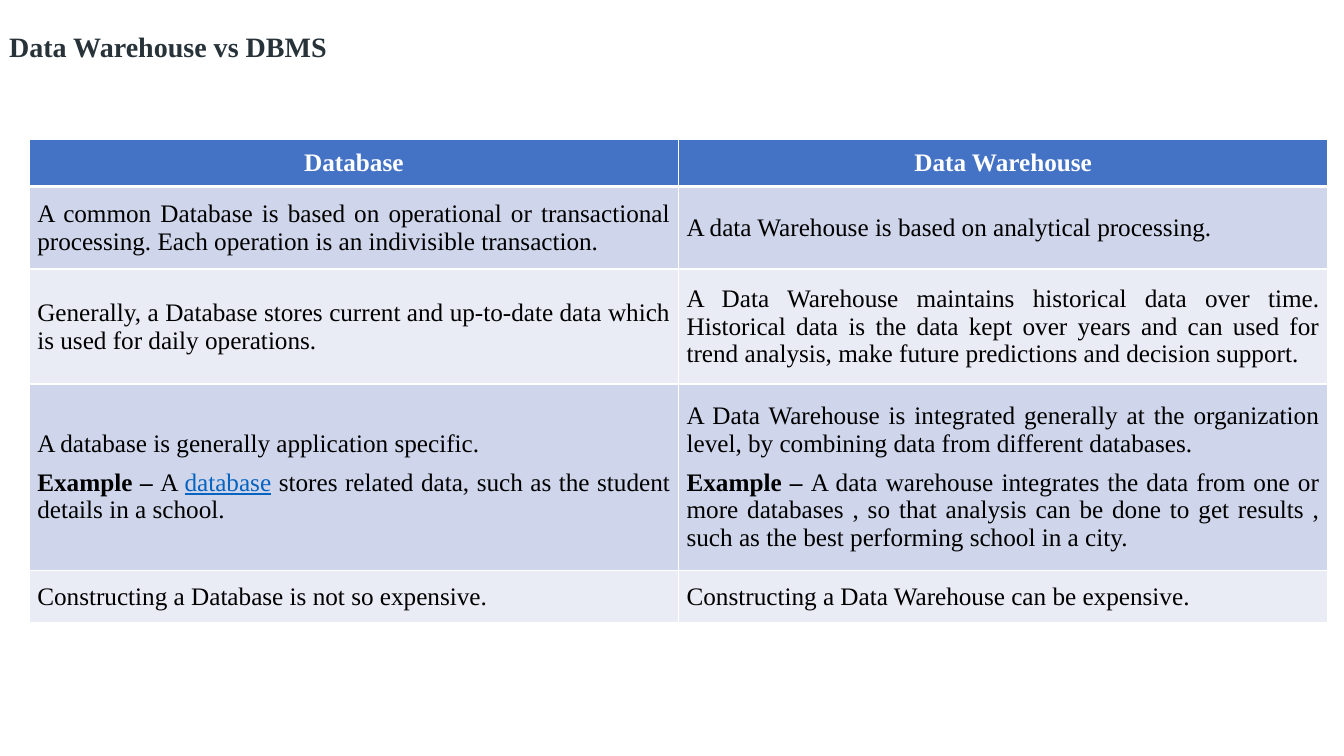
from lxml import etree
from pptx import Presentation
from pptx import util as u
from pptx.dml.color import RGBColor
from pptx.enum import shapes, text
from pptx.oxml.ns import qn

PX = 9144  # one px is 1/100 inch
FONT = "Times New Roman"
WHITE = RGBColor(0xFF, 0xFF, 0xFF)
BLACK = RGBColor(0, 0, 0)
TITLE_INK = RGBColor(0x27, 0x32, 0x39)
HEADER_BLUE = RGBColor(0x44, 0x72, 0xC4)
BAND_DARK = RGBColor(0xCF, 0xD5, 0xEA)
BAND_LIGHT = RGBColor(0xE9, 0xEB, 0xF5)
LINK_BLUE = RGBColor(0x05, 0x63, 0xC1)

# A cell is a list of paragraphs; a paragraph is a list of (text, style) runs
HEADERS = ["Database", "Data Warehouse"]
ROWS = [
    ([[("A common Database is based on operational or transactional processing. "
        "Each operation is an indivisible transaction.", "")]],
     [[("A data Warehouse is based on analytical processing.", "")]]),
    ([[("Generally, a Database stores current and up-to-date data which is used "
        "for daily operations.", "")]],
     [[("A Data Warehouse maintains historical data over time. Historical data is "
        "the data kept over years and can used for trend analysis, make future "
        "predictions and decision support.", "")]]),
    ([[("A database is generally application specific.", "")],
      [("Example – ", "bold"), ("A ", ""), ("database", "link"),
       (" stores related data, such as the student details in a school.", "")]],
     [[("A Data Warehouse is integrated generally at the organization level, by "
        "combining data from different databases.", "")],
      [("Example – ", "bold"),
       ("A data warehouse integrates the data from one or more databases , so that "
        "analysis can be done to get results , such as the best performing school "
        "in a city.", "")]]),
    ([[("Constructing a Database is not so expensive.", "")]],
     [[("Constructing a Data Warehouse can be expensive.", "")]]),
]
ROW_HEIGHTS = [47, 82, 114, 185, 52]


def set_font(font, size, color, bold=False):
    font.name = FONT
    font.size = u.Pt(size)
    font.color.rgb = color
    font.bold = bold


def add_title(s, title, left, top, width, height):
    sp = s.shapes.add_shape(shapes.MSO_SHAPE.RECTANGLE,
                            left * PX, top * PX, width * PX, height * PX)
    sp.shadow.inherit = False
    sp.fill.solid()
    sp.fill.fore_color.rgb = WHITE
    sp.line.fill.background()
    tf = sp.text_frame
    tf.word_wrap = False
    tf.vertical_anchor = text.MSO_ANCHOR.TOP
    tf.margin_left = tf.margin_right = tf.margin_bottom = 0
    tf.margin_top = 3 * PX
    p = tf.paragraphs[0]
    p.text = title
    p.alignment = text.PP_ALIGN.LEFT
    set_font(p.font, 20, TITLE_INK, True)


def set_borders(cell, top=1, bottom=1):
    tc_pr = cell._tc.get_or_add_tcPr()
    for side, points in (("L", 1), ("R", 1), ("T", top), ("B", bottom)):
        line = etree.SubElement(tc_pr, qn("a:ln" + side), w=str(u.Pt(points)))
        fill = etree.SubElement(line, qn("a:solidFill"))
        etree.SubElement(fill, qn("a:srgbClr"), val=str(WHITE))


def fill_cell(cell, paragraphs, band, ink, align, margin_y, bold=False):
    cell.fill.solid()
    cell.fill.fore_color.rgb = band
    cell.vertical_anchor = text.MSO_ANCHOR.MIDDLE
    cell.margin_left = cell.margin_right = 8 * PX
    cell.margin_top = cell.margin_bottom = margin_y * PX
    tf = cell.text_frame
    for i, runs in enumerate(paragraphs):
        p = tf.add_paragraph() if i else tf.paragraphs[0]
        p.alignment = align
        p.space_after = u.Pt(7.5)
        for words, style in runs:
            r = p.add_run()
            r.text = words
            set_font(r.font, 18, LINK_BLUE if style == "link" else ink,
                     bold or style == "bold")
            if style == "link":
                r.font.underline = True


def add_comparison(s, left, top, width):
    table = s.shapes.add_table(len(ROW_HEIGHTS), len(HEADERS), left * PX, top * PX,
                               width * PX, sum(ROW_HEIGHTS) * PX).table
    table.horz_banding = False
    for row, height in zip(table.rows, ROW_HEIGHTS):
        row.height = height * PX

    # Header row
    for col, header in enumerate(HEADERS):
        cell = table.cell(0, col)
        set_borders(cell, bottom=3)
        fill_cell(cell, [[(header, "")]], HEADER_BLUE, WHITE,
                  text.PP_ALIGN.CENTER, 8, True)
    table.cell(0, 0).margin_left = table.cell(0, 0).margin_right = 4 * PX

    # Banded body rows
    for i, row in enumerate(ROWS, start=1):
        for col, paragraphs in enumerate(row):
            cell = table.cell(i, col)
            set_borders(cell, top=3 if i == 1 else 1)
            fill_cell(cell, paragraphs, BAND_DARK if i % 2 else BAND_LIGHT,
                      BLACK, text.PP_ALIGN.JUSTIFY, 12)


def main():
    prs = Presentation()
    prs.slide_width, prs.slide_height = u.Inches(13.33), u.Inches(7.5)
    s = prs.slides.add_slide(prs.slide_layouts[6])
    add_title(s, "Data Warehouse vs DBMS", 9, 26, 325, 67)
    add_comparison(s, 29, 138, 1288)
    prs.save("out.pptx")


if __name__ == "__main__":
    main()
